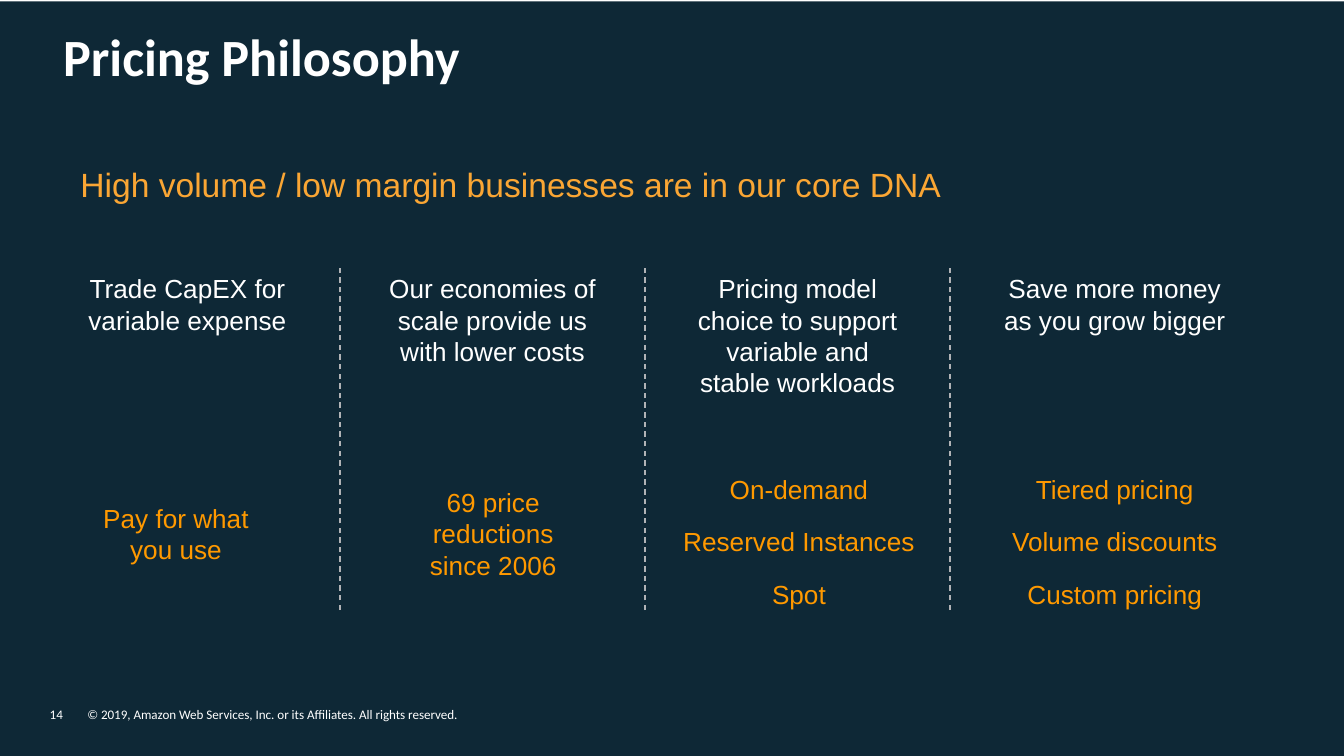
from lxml import etree
from pptx import Presentation
from pptx.dml.color import RGBColor
from pptx.enum import dml, shapes, text
from pptx.oxml.ns import qn
from pptx.util import Inches, Pt

NAVY, WHITE, GREY = "0E2836", "FFFFFF", "B1B3B6"
AMBER, ORANGE = "FAA634", "FF9900"

TITLE = "Pricing Philosophy"
SUBTITLE = "High volume / low margin businesses are in our core DNA"
# heading, heading width, heading height, answer lines, answer left, answer width
COLUMNS = [
    ("Trade CapEX for variable expense", 1.79, 0.6,
     ["Pay for what you use"], 0.66, 1.3),
    ("Our economies of scale provide us with lower costs", 1.79, 0.85,
     ["69 price reductions since 2006"], 3.02, 1.3),
    ("Pricing model choice to support variable and stable workloads", 1.79, 0.85,
     ["On-demand", "Reserved Instances", "Spot"], 4.96, 1.97),
    ("Save more money as you grow bigger", 1.97, 0.85,
     ["Tiered pricing", "Volume discounts", "Custom pricing"], 7.31, 1.97),
]
FOOTER = [
    ("© 2019, Amazon Web Services, Inc. or its Affiliates. All rights reserved.", 0.65, 3.26),
    ("14", 0.37, 0.28),
]

COLUMN_LEFT, COLUMN_PITCH = 0.5, 2.27
COLUMN_TOP, COLUMN_BOTTOM = 1.98, 4.54
ANSWER_TOP, ANSWER_HEIGHT = 3.34, 1.26
DIVIDER_LEFT = 2.53


def color(hex_code):
    return RGBColor.from_string(hex_code)


def write(box, lines, size, hex_code, font="Arial", bold=False,
          align=text.PP_ALIGN.LEFT, anchor=text.MSO_ANCHOR.TOP):
    """Fill a box with one paragraph per line; lists get open spacing."""
    frame = box.text_frame
    frame.text = "\n".join(lines)
    frame.word_wrap = True
    frame.auto_size = text.MSO_AUTO_SIZE.NONE
    frame.vertical_anchor = anchor
    for index, para in enumerate(frame.paragraphs):
        para.alignment = align
        if len(lines) > 1:
            para.line_spacing = 1.5
            para.space_before = Pt(2.8 if index else 0)
        for span in para.runs:
            span.font.name = font
            span.font.size = Pt(size)
            span.font.bold = bold
            span.font.color.rgb = color(hex_code)


def add_text(page, left, top, width, height, *args, **style):
    box = page.shapes.add_textbox(Inches(left), Inches(top), Inches(width), Inches(height))
    write(box, *args, **style)
    return box


def add_divider(page, left):
    line = page.shapes.add_connector(
        shapes.MSO_CONNECTOR.STRAIGHT,
        Inches(left), Inches(COLUMN_BOTTOM), Inches(left), Inches(COLUMN_TOP))
    line.line.color.rgb = color(GREY)
    line.line.width = Pt(0.75)
    line.line.dash_style = dml.MSO_LINE.DASH
    etree.SubElement(line._element.spPr, qn("a:effectLst"))


deck = Presentation()
deck.slide_width = Inches(10)
deck.slide_height = deck.slide_width * 9 // 16
page = deck.slides.add_slide(deck.slide_layouts[5])

backdrop = page.shapes.add_shape(
    shapes.MSO_SHAPE.RECTANGLE, 0, Inches(0.01), deck.slide_width, deck.slide_height)
backdrop.shadow.inherit = False
backdrop.fill.solid()
backdrop.fill.fore_color.rgb = color(NAVY)
backdrop.line.fill.background()
# The title placeholder comes first, so the backdrop moves behind it
page.shapes.title._element.addprevious(backdrop._element)

title = page.shapes.title
title.left, title.top, title.width, title.height = map(Inches, (0.37, 0.13, 8.97, 0.6))
write(title, [TITLE], 28, WHITE, font="Calibri", bold=True)

add_text(page, 0.5, 1.17, 8.01, 0.4, [SUBTITLE], 18, AMBER)

for index, (heading, width, height, answer, answer_left, answer_width) in enumerate(COLUMNS):
    offset = index * COLUMN_PITCH
    add_text(page, COLUMN_LEFT + offset, COLUMN_TOP, width, height,
             [heading], 14, WHITE, align=text.PP_ALIGN.CENTER)
    add_text(page, answer_left, ANSWER_TOP, answer_width, ANSWER_HEIGHT,
             answer, 14, ORANGE, align=text.PP_ALIGN.CENTER,
             anchor=text.MSO_ANCHOR.MIDDLE)
    if index < len(COLUMNS) - 1:
        add_divider(page, DIVIDER_LEFT + offset)

for words, left, width in FOOTER:
    frame = add_text(page, left, 5.26, width, 0.12, [words], 7, WHITE, font="Calibri").text_frame
    frame.margin_left = frame.margin_right = frame.margin_top = frame.margin_bottom = 0

deck.save("out.pptx")
